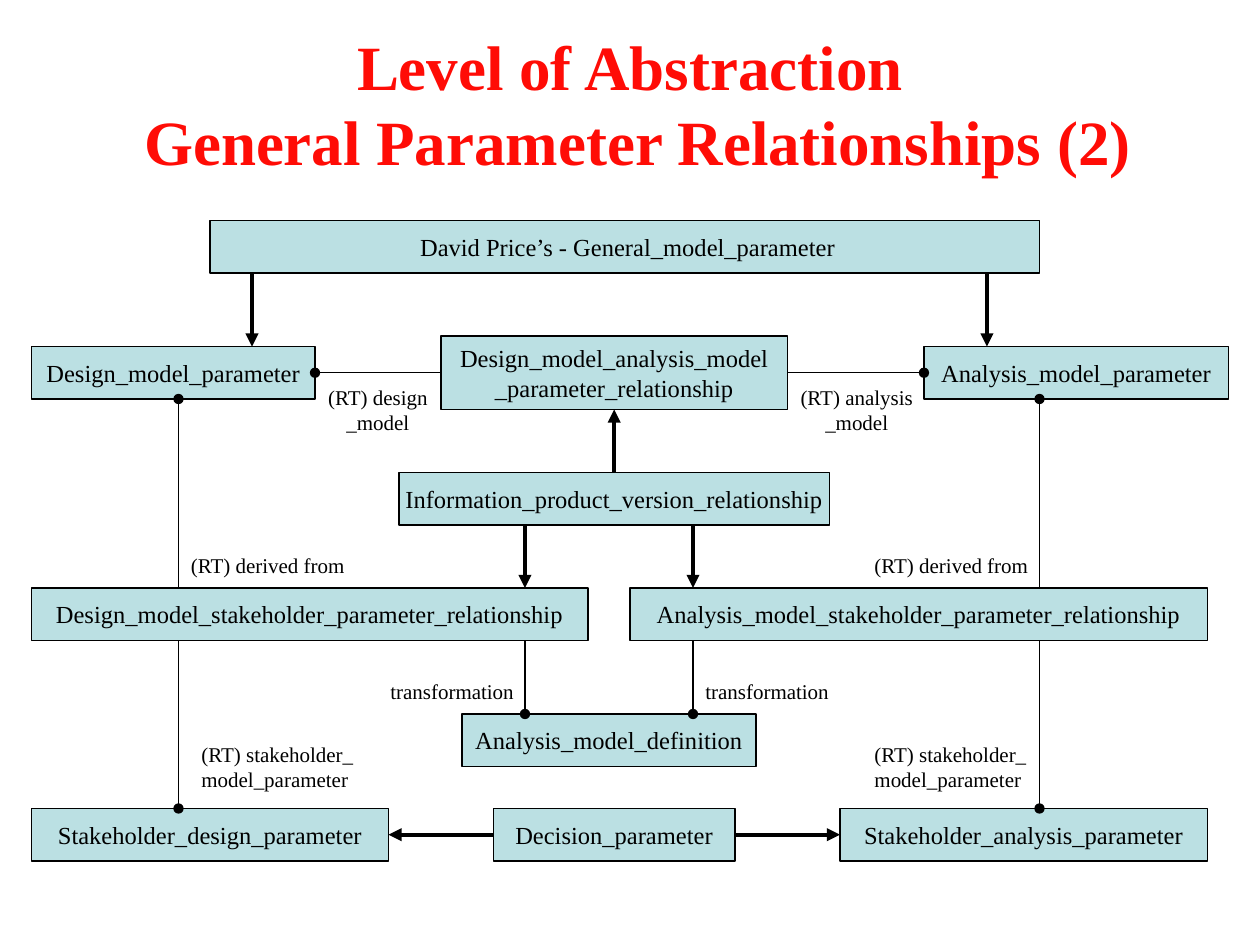
from lxml.etree import SubElement
from pptx import Presentation
from pptx.dml.color import RGBColor
from pptx.enum.shapes import MSO_CONNECTOR as CONN, MSO_SHAPE as SHAPE
from pptx.enum.text import MSO_ANCHOR as ANCHOR, MSO_AUTO_SIZE as AUTO, PP_ALIGN as ALIGN
from pptx.oxml.ns import qn
from pptx.util import Cm, Pt

COLORS = {"title": "FF0C06", "box": "BBE0E3", "ink": "000000"}
FONT = "Times New Roman"
TOP, LEFT, BOTTOM, RIGHT = range(4)
THIN = {"width": 0.75, "tip": "oval"}
THICK = {"width": 2.5, "tip": "triangle"}

# Places are in grid units of a twelfth of an inch: left, top, width, height
BOXES = {
    "design": ((3, 33, 27, 5), "Design_model_parameter"),
    "analysis": ((88, 33, 29, 5), "Analysis_model_parameter"),
    "general": ((20, 21, 79, 5), " David Price’s - General_model_parameter"),
    "design_rel": ((3, 56, 53, 5), "Design_model_stakeholder_parameter_relationship"),
    "analysis_rel": ((60, 56, 55, 5), "Analysis_model_stakeholder_parameter_relationship"),
    "definition": ((44, 68, 28, 5), "Analysis_model_definition"),
    "version_rel": ((38, 45, 41, 5), "Information_product_version_relationship"),
    "model_rel": ((42, 32, 33, 7), "Design_model_analysis_model\n_parameter_relationship"),
    "stake_design": ((3, 77, 34, 5), "Stakeholder_design_parameter"),
    "stake_analysis": ((80, 77, 35, 5), "Stakeholder_analysis_parameter"),
    "decision": ((47, 77, 23, 5), "Decision_parameter"),
}

LABELS = [
    ((82.1, 70, 16.9, 6), "(RT) stakeholder_\nmodel_parameter", ALIGN.LEFT),
    ((18, 70, 16.9, 6), "(RT) stakeholder_\nmodel_parameter", ALIGN.LEFT),
    ((82.1, 52, 17.2, 3.6), "(RT) derived from", ALIGN.LEFT),
    ((17, 52, 17.2, 3.6), "(RT) derived from", ALIGN.LEFT),
    ((36, 64, 14.2, 3.6), "transformation", ALIGN.LEFT),
    ((66, 64, 14.2, 3.6), "transformation", ALIGN.LEFT),
    ((75, 36, 13.2, 6), "(RT) analysis\n_model", ALIGN.CENTER),
    ((30, 36, 12, 6), "(RT) design\n_model", ALIGN.CENTER),
]

# Vertical lines: x, start y, end y, style
VERTICALS = [(x, y1, y2, style)
             for xs, y1, y2, style in [((24, 94), 26, 33, THICK),
                                       ((17, 99), 56, 38, THIN),
                                       ((17, 99), 61, 77, THIN),
                                       ((50, 66), 50, 56, THICK),
                                       ((50, 66), 61, 68, THIN)]
             for x in xs]

# Lines between the middles of two sides
JOINS = [
    ("model_rel", LEFT, "design", RIGHT, THIN),
    ("model_rel", RIGHT, "analysis", LEFT, THIN),
    ("version_rel", TOP, "model_rel", BOTTOM, THICK),
    ("decision", LEFT, "stake_design", RIGHT, THICK),
    ("decision", RIGHT, "stake_analysis", LEFT, THICK),
]


def color(name):
    return RGBColor.from_string(COLORS[name])


def grid(*units):
    return [Cm(u * 2.54 / 12) for u in units]


def write(tf, text, size, align=ALIGN.CENTER, ink="ink", bold=False,
          anchor=ANCHOR.TOP, auto_size=AUTO.SHAPE_TO_FIT_TEXT):
    """Fill a text frame, one paragraph for each line of text."""
    tf.text = text
    frame = {"word_wrap": False, "auto_size": auto_size, "vertical_anchor": anchor}
    for name, value in frame.items():
        setattr(tf, name, value)
    for p in tf.paragraphs:
        p.alignment = align
        for r in p.runs:
            r.font.color.rgb = color(ink)
            for name, value in {"name": FONT, "size": Pt(size), "bold": bold}.items():
                setattr(r.font, name, value)


def add_title(s):
    sp = s.shapes.title
    sp.left, sp.top, sp.width, sp.height = grid(12.5, 2, 96.5, 15.6)
    write(sp.text_frame, "Level of Abstraction \nGeneral Parameter Relationships (2)",
          36, ink="title", bold=True)


def add_box(s, place, text):
    sp = s.shapes.add_shape(SHAPE.RECTANGLE, *grid(*place))
    sp.shadow.inherit = False
    sp.fill.solid()
    sp.fill.fore_color.rgb = color("box")
    sp.line.color.rgb = color("ink")
    sp.line.width = Pt(0.75)
    write(sp.text_frame, text, 14, anchor=ANCHOR.MIDDLE, auto_size=AUTO.NONE)
    return sp


def add_label(s, place, text, align):
    write(s.shapes.add_textbox(*grid(*place)).text_frame, text, 12, align)


def add_line(s, style, ends=(0, 0, 0, 0)):
    line = s.shapes.add_connector(CONN.STRAIGHT, *grid(*ends))
    line.line.color.rgb = color("ink")
    line.line.width = Pt(style["width"])
    SubElement(line.line._get_or_add_ln(), qn("a:tailEnd"), type=style["tip"])
    SubElement(line._element.spPr, qn("a:effectLst"))
    return line


def main():
    prs = Presentation()
    prs.slide_width, prs.slide_height = Cm(25.4), Cm(19.05)
    s = prs.slides.add_slide(prs.slide_layouts[5])
    add_title(s)
    boxes = {key: add_box(s, place, text) for key, (place, text) in BOXES.items()}
    for x, y1, y2, style in VERTICALS:
        add_line(s, style, (x, y1, x, y2))
    for start, start_side, end, end_side, style in JOINS:
        line = add_line(s, style)
        line.begin_connect(boxes[start], start_side)
        line.end_connect(boxes[end], end_side)
    for label in LABELS:
        add_label(s, *label)
    prs.save("out.pptx")


if __name__ == "__main__":
    main()
